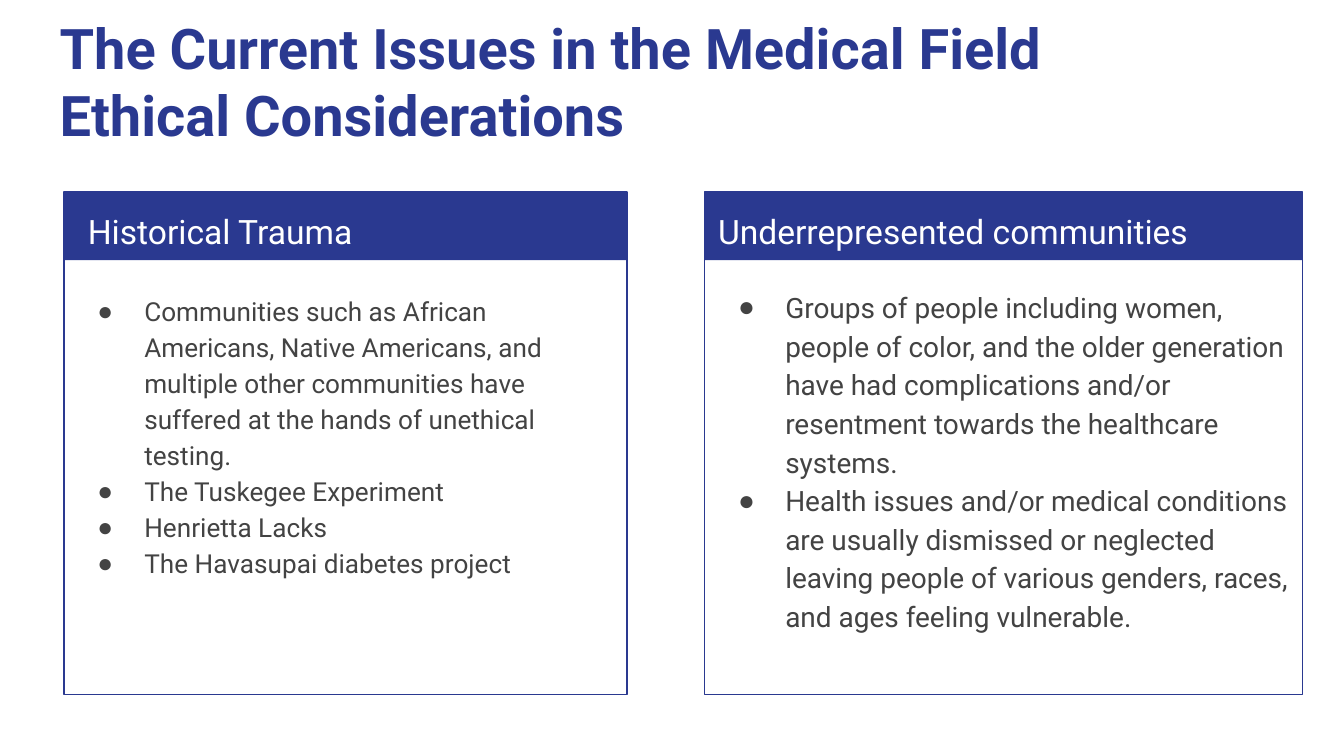
from pptx import Presentation
from pptx.dml.color import RGBColor as Rgb
from pptx.enum.shapes import MSO_SHAPE as Kind
from pptx.enum.text import MSO_ANCHOR as Anchor
from pptx.oxml.ns import qn
from pptx.util import Emu, Pt
from lxml.etree import SubElement as Sub

SCALE = 4572  # EMU per px, 200 px to the inch
COLORS = {"navy": "2A3990", "white": "FFFFFF", "gray": "434343"}
FONT = "Roboto"
TOP, BAND, TALL = 286, 101, 748  # card top, band height, card height

# Per card: frame, header text box, body text box, body size, wording
CARDS = [
    {"left": 95, "width": 838, "head": (111, 285, 546, 100),
     "body": (95, 413, 838, 612), "size": 14,
     "title": "Historical Trauma",
     "items": [
         "Communities such as African Americans, Native Americans, and "
         "multiple other communities have suffered at the hands of "
         "unethical testing.",
         "The Tuskegee Experiment",
         "Henrietta Lacks",
         "The Havasupai diabetes project"]},
    {"left": 1048, "width": 890, "head": (1049, 285, 892, 100),
     "body": (1049, 405, 892, 628), "size": 15,
     "title": "Underrepresented communities",
     "items": [
         "Groups of people including women, people of color, and the older "
         "generation have had complications and/or resentment towards the "
         "healthcare systems.",
         "Health issues and/or medical conditions are usually dismissed or "
         "neglected leaving people of various genders, races, and ages "
         "feeling vulnerable."]},
]


def px(n):
    return Emu(n * SCALE)


def tint(name):
    return Rgb.from_string(COLORS[name])


def set_all(obj, values):
    for key, value in values.items():
        setattr(obj, key, value)


def add_rect(slide, box, fill=None, line=None):
    rect = slide.shapes.add_shape(Kind.RECTANGLE, *map(px, box))
    rect.shadow.inherit = False
    if fill:
        rect.fill.solid()
        rect.fill.fore_color.rgb = tint(fill)
    else:
        rect.fill.background()
    if line:
        rect.line.color.rgb = tint(line)
        rect.line.width = Pt(0.75)
    else:
        rect.line.fill.background()


def add_dot(para, color):
    props = para._p.get_or_add_pPr()
    props.set("marL", str(px(100)))
    props.set("indent", str(px(-70)))
    paint = Sub(props, qn("a:buClr"))
    Sub(paint, qn("a:srgbClr"), val=COLORS[color])
    Sub(props, qn("a:buFont"), typeface="Arial")
    Sub(props, qn("a:buChar"), char="●")


def add_text(slide, box, lines, size, color, bold=False, space=None, dots=False):
    frame = slide.shapes.add_textbox(*map(px, box)).text_frame
    inset = px(20)
    set_all(frame, {"word_wrap": True, "vertical_anchor": Anchor.TOP,
                    "margin_left": inset, "margin_right": inset,
                    "margin_top": inset, "margin_bottom": inset})
    for i, line in enumerate(lines):
        para = frame.paragraphs[0] if i == 0 else frame.add_paragraph()
        if space:
            para.line_spacing = space
        if dots:
            add_dot(para, color)
        run = para.add_run()
        run.text = line
        set_all(run.font, {"name": FONT, "size": Pt(size), "bold": bold})
        run.font.color.rgb = tint(color)


def add_card(slide, card):
    left, width = card["left"], card["width"]
    add_rect(slide, (left, TOP, width, BAND), fill="navy")
    add_rect(slide, (left, TOP, width, TALL), line="navy")
    add_text(slide, card["head"], [card["title"]], 18, "white", space=1.15)
    add_text(slide, card["body"], card["items"], card["size"], "gray",
             space=1.15, dots=True)


def main():
    deck = Presentation()
    set_all(deck, {"slide_width": px(2000), "slide_height": px(1125)})
    slide = deck.slides.add_slide(deck.slide_layouts[6])

    # Title
    add_text(slide, (69, 0, 1864, 132),
             ["The Current Issues in the Medical Field",
              "Ethical Considerations"], 30, "navy", bold=True)

    # Two cards
    for card in CARDS:
        add_card(slide, card)

    deck.save("out.pptx")


if __name__ == "__main__":
    main()
